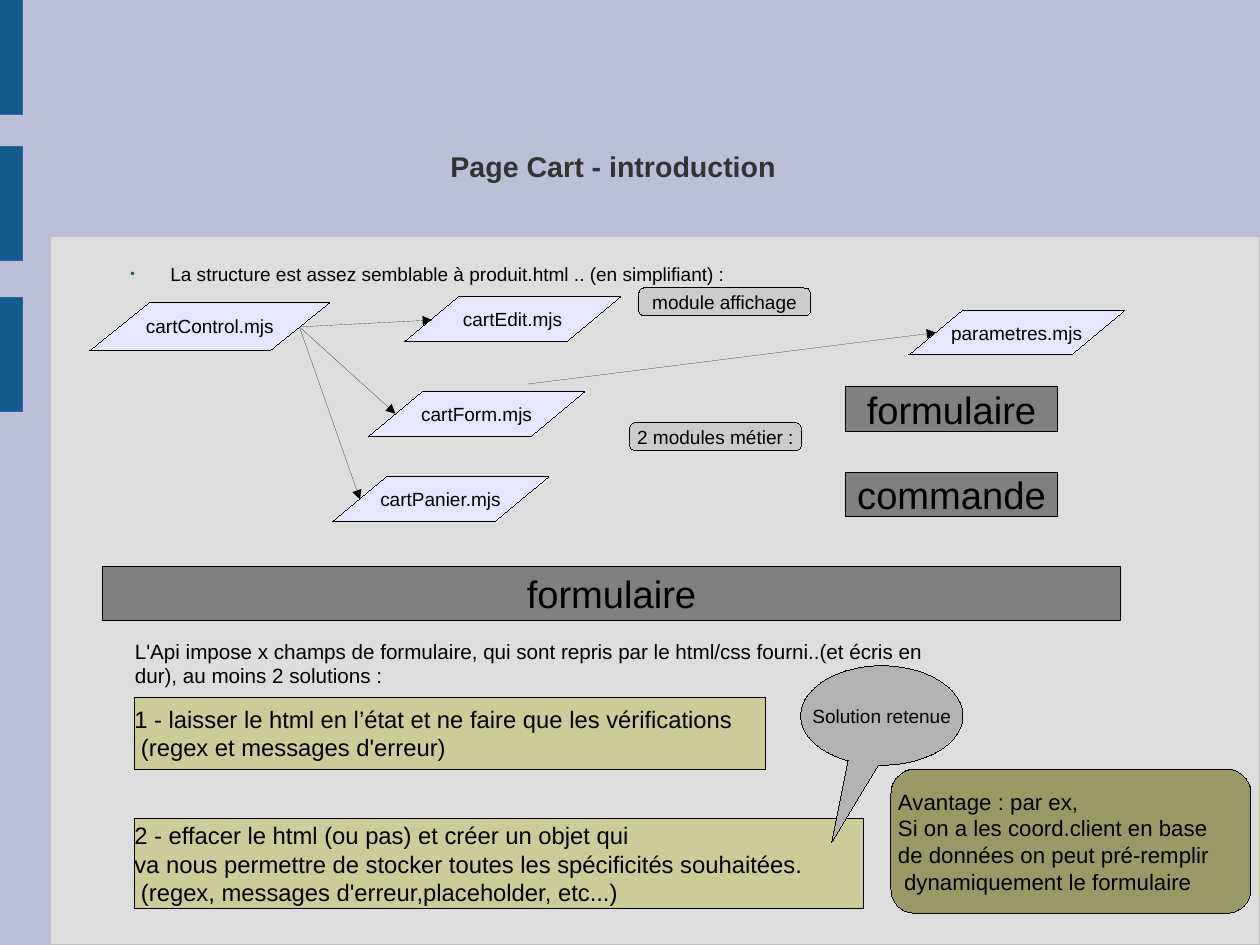
from lxml import etree
from pptx import Presentation
from pptx import util as u
from pptx.dml.color import RGBColor
from pptx.enum import shapes, text
from pptx.oxml import ns

WIDE, HIGH = u.Cm(28), u.Cm(21)
CELL = u.Inches(0.1)
COLS, ROWS = WIDE / CELL, HIGH / CELL
HUES = {
    "back": "BABED6", "panel": "DDDDDD", "edge": "C0C0C0",
    "bar": "125C8D", "rim": "3465A4", "title": "333333",
    "ink": "000000", "dot": "0E594D", "file": "E6E6FF",
    "tag": "CCCCCC", "band": "808080", "choice": "CCCC99",
    "bubble": "B2B2B2", "gain": "999966",
}
KIND = shapes.MSO_SHAPE
LEFT, MID = text.PP_ALIGN.LEFT, text.PP_ALIGN.CENTER


def hue(name):
    return RGBColor.from_string(HUES[name])


def grid(*cells):
    return [round(n * CELL) for n in cells]


def add(node, tag, **attrs):
    return etree.SubElement(node, ns.qn(tag), attrs)


def trace(shape, color):
    shape.line.color.rgb = hue(color)
    edge = shape._element.spPr.find(ns.qn("a:ln"))
    edge.set("w", "0")
    return edge


def write(shape, lines, size=12, color="ink", bold=False, align=MID,
          wrap=False, anchor=text.MSO_ANCHOR.MIDDLE, shift=None):
    frame = shape.text_frame
    frame.margin_left = frame.margin_right = 0
    frame.margin_top = frame.margin_bottom = 0
    frame.word_wrap = wrap
    frame.vertical_anchor = anchor
    for i, line in enumerate(lines.split("\n")):
        para = frame.paragraphs[0] if i == 0 else frame.add_paragraph()
        para.alignment = align
        if shift and line.startswith(shift[0]):
            para._p.get_or_add_pPr().set("marL", str(grid(shift[1])[0]))
        run = para.add_run()
        run.text = line
        font = run.font
        font.name, font.size, font.bold = "Arial", u.Pt(size), bold
        font.color.rgb = hue(color)


def label(slide, box, lines, **form):
    shape = slide.shapes.add_textbox(*grid(*box))
    write(shape, lines, wrap=True, **form)
    return shape


def block(slide, kind, box, fill, lines="", line="ink", adjust=(), **form):
    shape = slide.shapes.add_shape(kind, *grid(*box))
    shape.shadow.inherit = False
    shape.fill.solid()
    shape.fill.fore_color.rgb = hue(fill)
    trace(shape, line)
    for i, value in enumerate(adjust):
        shape.adjustments[i] = value
    if lines:
        write(shape, lines, **form)


def arrow(slide, start, end):
    link = slide.shapes.add_connector(
        shapes.MSO_CONNECTOR.STRAIGHT, *grid(*start, *end))
    add(trace(link, "ink"), "a:tailEnd", type="triangle")
    add(link._element.spPr, "a:effectLst")


def bullet(shape):
    props = shape.text_frame.paragraphs[0]._p.get_or_add_pPr()
    left, hang = grid(4.7, -3.5)
    props.set("marL", str(left))
    props.set("indent", str(hang))
    add(add(props, "a:buClr"), "a:srgbClr", val=HUES["dot"])
    add(props, "a:buSzPct", val="30000")
    add(props, "a:buChar", char="●")


def frame(slide):
    slide.background.fill.solid()
    slide.background.fill.fore_color.rgb = hue("back")
    block(slide, KIND.RECTANGLE, (4.4, 20.7, COLS - 4.4, ROWS - 20.7),
          "panel", line="edge")
    for top in (0, 12.8, 26):
        block(slide, KIND.RECTANGLE, (0, top, 2, 10), "bar", line="rim")
    label(slide, (5.5, 7.6, 96.3, 13.8), "Page Cart - introduction",
          size=18, color="title", bold=True)


def files(slide):
    intro = label(slide, (10.2, 22.95, 92.1, 52.1),
                  "La structure est assez semblable à produit.html .. (en simplifiant) :",
                  align=LEFT, anchor=text.MSO_ANCHOR.TOP)
    bullet(intro)
    block(slide, KIND.PARALLELOGRAM, (7.87, 26.45, 21, 4.2), "file",
          "cartControl.mjs", adjust=[1.24])
    for name, x, y in (("cartEdit", 35.4, 25.95), ("cartForm", 32.25, 34.25),
                       ("cartPanier", 29.1, 41.7), ("parametres", 79.5, 27.15)):
        block(slide, KIND.PARALLELOGRAM, (x, y, 18.9, 3.9), "file",
              f"{name}.mjs", adjust=[1.2])
    for end in ((34.6, 36.2), (31.5, 43.7), (37.8, 28)):
        arrow(slide, (26.2, 28.6), end)
    arrow(slide, (46.2, 33.6), (81.9, 29.1))
    for name, x, y in (("module affichage", 55.9, 25.2),
                       ("2 modules métier :", 55.1, 37)):
        block(slide, KIND.ROUNDED_RECTANGLE, (x, y, 15, 2.4), "tag", name)


def form(slide):
    for name, box in (("formulaire", (9, 49.6, 89, 4.7)),
                      ("formulaire", (73.95, 33.85, 18.6, 3.9)),
                      ("commande", (73.95, 41.3, 18.6, 3.9))):
        block(slide, KIND.RECTANGLE, box, "band", name, size=24)
    label(slide, (11.8, 55.85, 70.1, 6.1),
          "L'Api impose x champs de formulaire, qui sont repris par le html/css "
          "fourni..(et écris en dur), au moins 2 solutions :",
          size=13, align=LEFT, anchor=text.MSO_ANCHOR.TOP)
    for box, lines in (
            ((11.75, 61, 55.2, 6.3),
             "1 - laisser le html en l’état et ne faire que les vérifications\n"
             "(regex et messages d'erreur)"),
            ((11.75, 71.6, 63.8, 7.9),
             "2 - effacer le html (ou pas) et créer un objet qui\n"
             "va nous permettre de stocker toutes les spécificités souhaitées.\n"
             "(regex, messages d'erreur,placeholder, etc...)")):
        block(slide, KIND.RECTANGLE, box, "choice", lines,
              size=15, align=LEFT, wrap=True, shift=("(regex", 0.58))
    block(slide, KIND.OVAL_CALLOUT, (70.05, 58.25, 14.2, 8.7), "bubble",
          "Solution retenue", adjust=[-0.31, 1.28])
    block(slide, KIND.ROUNDED_RECTANGLE, (77.95, 67.3, 31.5, 12.6), "gain",
          "Avantage : par ex,\nSi on a les coord.client en base\n"
          "de données on peut pré-remplir\ndynamiquement le formulaire",
          size=14, align=LEFT, wrap=True, shift=("dynam", 0.54))


def main():
    deck = Presentation()
    deck.slide_width, deck.slide_height = WIDE, HIGH
    slide = deck.slides.add_slide(deck.slide_layouts[6])
    frame(slide)
    files(slide)
    form(slide)
    deck.save("out.pptx")


if __name__ == "__main__":
    main()
